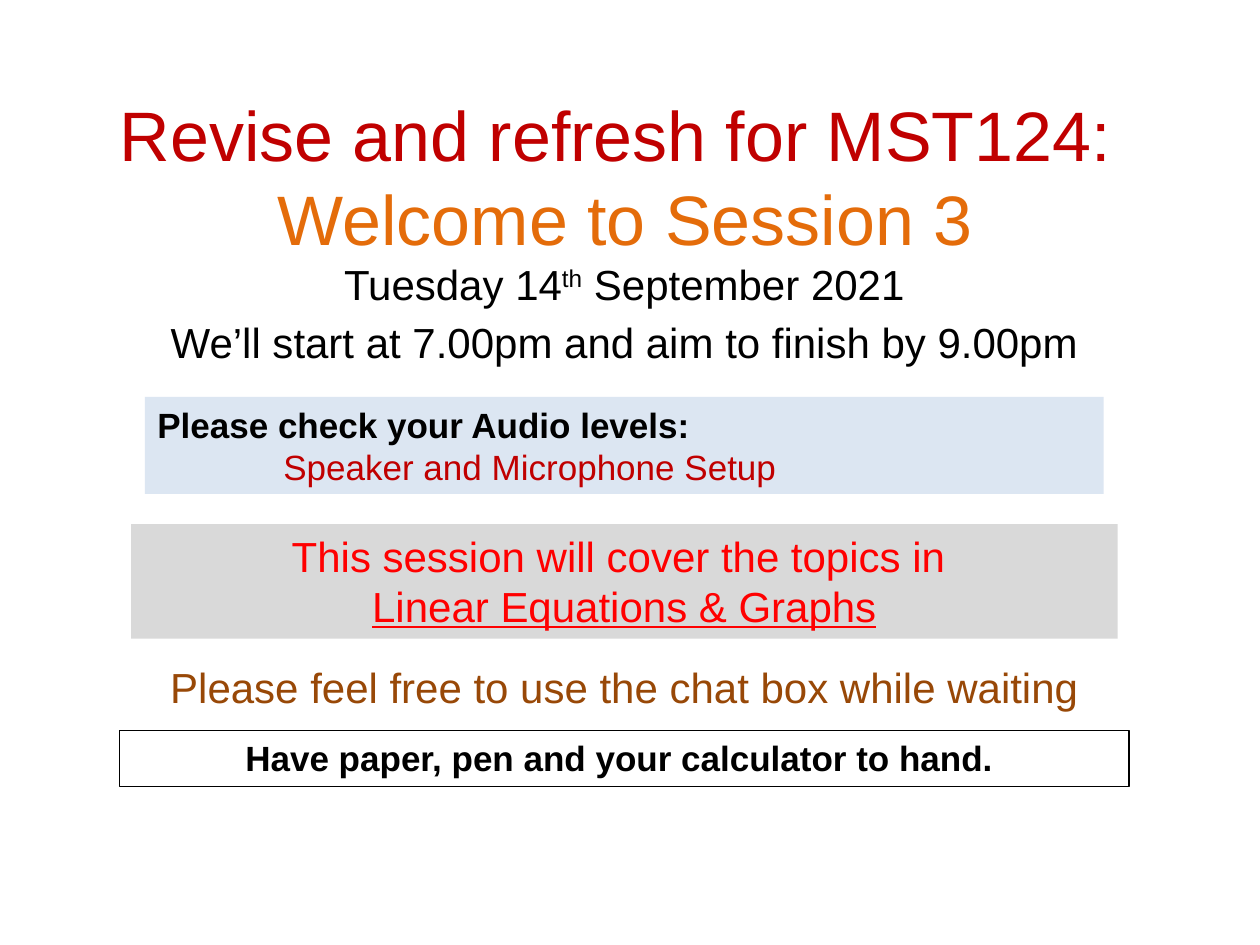
from pptx import Presentation
from pptx import util as u
from pptx.dml.color import RGBColor
from pptx.enum import shapes, text

COLORS = {
    "black": "000000",
    "dark_red": "C00000",
    "orange": "E46C0A",
    "red": "FF0000",
    "brown": "984807",
    "pale_blue": "DCE6F2",
    "grey": "D9D9D9",
}
CENTER, LEFT = text.PP_ALIGN.CENTER, text.PP_ALIGN.LEFT


def rgb(name):
    return RGBColor.from_string(COLORS[name])


def add_run(p, words, size, color="black", bold=False, underline=False, superscript=False):
    r = p.add_run()
    r.text = words
    r.font.name = "Arial"
    r.font.size = u.Pt(size)
    r.font.bold = bold
    r.font.underline = underline
    r.font.color.rgb = rgb(color)
    if superscript:
        r.font._element.set("baseline", "30000")


def write(sp, size, paragraphs, align=CENTER):
    """Fill a shape; each paragraph is a list of (words, run style) pairs."""
    tf = sp.text_frame
    tf.word_wrap = True
    tf.auto_size = text.MSO_AUTO_SIZE.SHAPE_TO_FIT_TEXT
    tf.vertical_anchor = text.MSO_ANCHOR.TOP
    for i, runs in enumerate(paragraphs):
        p = tf.add_paragraph() if i else tf.paragraphs[0]
        p.alignment = align
        for words, style in runs:
            add_run(p, words, size, **style)


def add_text(s, box, size, paragraphs):
    write(s.shapes.add_textbox(*map(u.Inches, box)), size, paragraphs)


def add_panel(s, box, size, paragraphs, fill=None, line=None, align=CENTER):
    sp = s.shapes.add_shape(shapes.MSO_SHAPE.RECTANGLE, *map(u.Inches, box))
    sp.shadow.inherit = False
    if fill:
        sp.fill.solid()
        sp.fill.fore_color.rgb = rgb(fill)
    else:
        sp.fill.background()
    if line:
        sp.line.color.rgb = rgb(line)
        sp.line.width = u.Pt(0.75)
    else:
        sp.line.fill.background()
    write(sp, size, paragraphs, align)


def main():
    prs = Presentation()
    prs.slide_width, prs.slide_height = u.Inches(10), u.Inches(7.5)
    s = prs.slides.add_slide(prs.slide_layouts[6])

    # Title
    add_text(s, (0.4, 0.68, 9.12, 1.45), 40, [
        [("Revise and refresh for MST124: ", {"color": "dark_red"})],
        [("Welcome to Session 3", {"color": "orange"})],
    ])

    # Date and time
    add_text(s, (1.88, 2, 6.15, 0.5), 24, [
        [("Tuesday 14", {}), ("th", {"superscript": True}), (" September 2021", {})],
    ])
    add_text(s, (0.95, 2.46, 8.01, 0.5), 24, [
        [("We’ll start at 7.00pm and aim to finish by 9.00pm", {})],
    ])

    # Audio check
    add_panel(s, (1.15, 3.15, 7.61, 0.77), 20, [
        [("Please check your Audio levels:", {"bold": True})],
        [("\t\t", {}), ("Speaker and Microphone Setup", {"color": "dark_red"})],
    ], fill="pale_blue", align=LEFT)

    # Session topics
    add_panel(s, (1.04, 4.16, 7.83, 0.91), 24, [
        [("This session will cover the topics in ", {"color": "red"})],
        [("Linear Equations & Graphs", {"color": "red", "underline": True})],
    ], fill="grey")

    # Reminders
    add_text(s, (1.19, 5.2, 7.53, 0.5), 24, [
        [("Please feel free to use the chat box while waiting", {"color": "brown"})],
    ])
    add_panel(s, (0.95, 5.8, 8.01, 0.44), 20, [
        [("Have paper, pen and your calculator to hand. ", {"bold": True})],
    ], line="black")

    prs.save("out.pptx")


if __name__ == "__main__":
    main()
